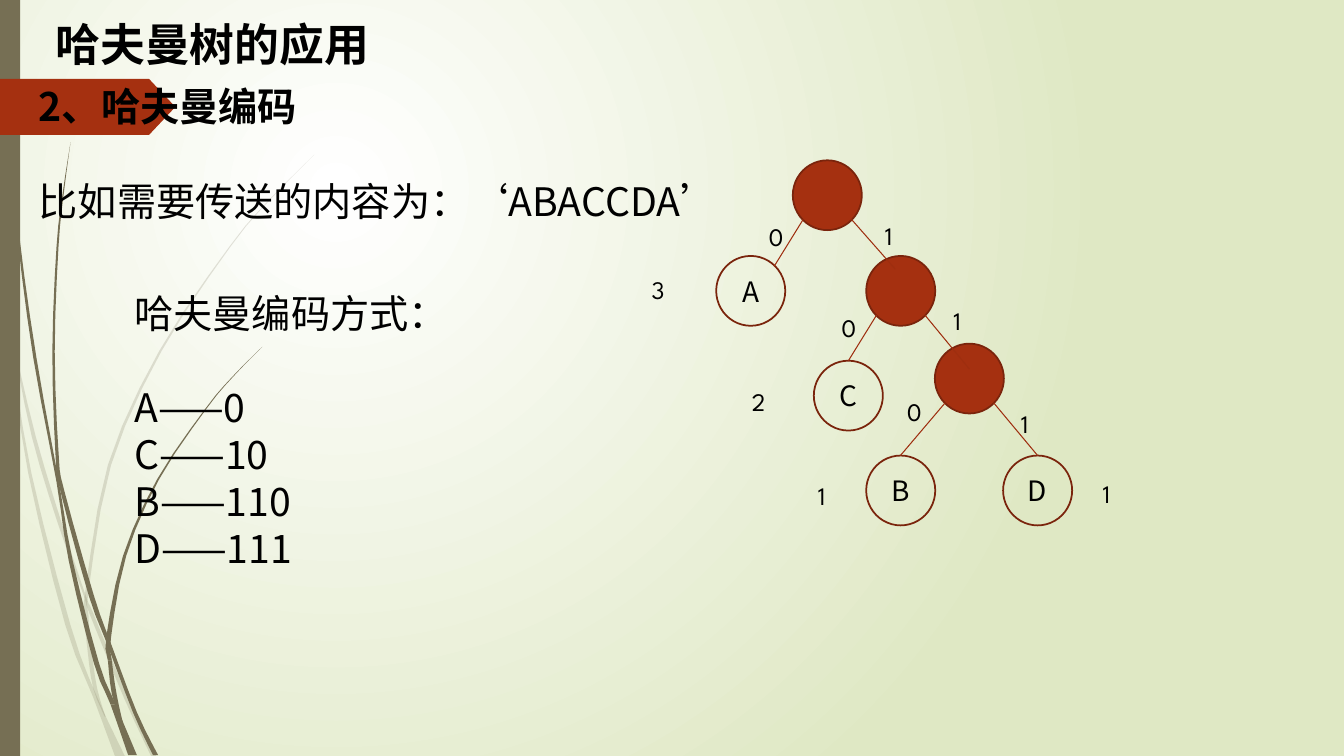
import pptx
import pptx.dml.color
import pptx.enum.lang
import pptx.enum.shapes
import pptx.enum.text
import pptx.oxml
import pptx.oxml.ns
import pptx.util
from dataclasses import dataclass
from itertools import pairwise

Cm = pptx.util.Cm
Pt = pptx.util.Pt
SHAPES = pptx.enum.shapes.MSO_SHAPE


@dataclass(frozen=True)
class Theme:
    stem: str = "766F54"
    accent: str = "A53010"
    outline: str = "7A240C"
    branch: str = "9E2E0F"
    ink: str = "000000"
    glow: str = "FFFFFF"
    edge: str = "DFE8C4"
    body_font: str = "Noto Sans CJK SC"
    label_font: str = "League Spartan"
    title_size: int = 32
    body_size: int = 28
    node_size: int = 20
    label_size: int = 18
    blank_line: float = 33.6


THEME = Theme()
NODE_WIDTH, NODE_HEIGHT = 1.74, 1.76
FORK = 0.61
CURVE_STEPS = 3

PALE_STRANDS = [
    ((1, 4), [(0.03, 7.3, 0.05), (0.28, 8.89, 0.03), (0.75, 11.92, 0.08),
              (1.71, 15.75, 0.13), (2.39, 17.55, 0.1), (3.02, 19.05, 0.25)]),
    ((3, 4), [(0.36, 8.76, 0.02), (0.85, 11, 0.1), (1.52, 13.23, 0.1), (2.15, 15.05, 0.05),
              (2.3, 15.45, 0.1), (3.18, 17.6, 0.1), (3.87, 19.05, 0.13)]),
    ((5, 6), [(7.92, 3.9, 0), (6.81, 5.02, 0.02), (5.8, 6.21, 0.03), (4.04, 8.85, 0.06),
              (2.76, 11.72, 0.08), (2.2, 14.83, 0.08), (2.18, 15.5, 0.1),
              (2.26, 16.41, 0.1), (2.4, 17.35, 0.1), (2.65, 18.06, 0.02)]),
]
DARK_STRANDS = [
    ((4, 7), [(0.09, 0, 0.02), (0.19, 2.8, 0.03), (0.46, 5.92, 0.05), (0.88, 9.02, 0.08),
              (1.45, 12.12, 0.06), (1.78, 14.12, 0.1), (2.43, 16.71, 0.13),
              (2.85, 17.75, 0.13), (3.34, 19.03, 0.22)]),
    ((4, 5, 7), [(1.78, 3.58, 0), (1.59, 4.9, 0.03), (1.45, 6.22, 0.05), (1.35, 8.86, 0.06),
                 (1.44, 11.46, 0.08), (1.58, 12.4, 0.1), (2.3, 15, 0.13),
                 (2.74, 16.2, 0.1), (3.4, 17.95, 0.1), (3.92, 19.03, 0.13)]),
    ((5, 6), [(6.61, 8.74, 0), (5.87, 9.49, 0.02), (5.19, 10.3, 0.03), (3.99, 12.07, 0.05),
              (3.14, 14.01, 0.08), (2.74, 16.05, 0.12), (2.77, 16.65, 0.1),
              (2.88, 17.5, 0.12), (3.08, 18.25, 0.05)]),
]
INNER_NODES = {"root": (20.85, 4.92), "right": (22.7, 7.33), "lower": (24.43, 9.54)}
LEAVES = {"A": (18.92, 7.33), "C": (21.38, 9.97), "B": (22.7, 12.36), "D": (26.15, 12.36)}
BRANCHES = [
    ("root", -FORK, (19.51, 6.71)), ("root", FORK, (22.56, 6.78)),
    ("right", -FORK, (21.38, 9.09)), ("right", FORK, (24.43, 9.3)),
    ("lower", -FORK, (22.69, 11.48)), ("lower", FORK, (26.15, 11.48)),
]
LABELS = [
    ("3", 16.17, 6.78), ("2", 18.7, 9.6), ("1", 20.36, 11.99), ("1", 27.54, 11.94),
    ("0", 19.13, 5.46), ("0", 20.96, 7.75), ("0", 22.61, 9.86),
    ("1", 22.05, 5.42), ("1", 23.78, 7.57), ("1", 25.48, 10.16),
]


def rgb(value):
    return pptx.dml.color.RGBColor.from_string(value)


def apply(target, values):
    for name, value in values.items():
        setattr(target, name, value)


def add_xml(parent, tag, **attributes):
    child = pptx.oxml.parse_xml(f"<{tag} {pptx.oxml.ns.nsdecls('a')}/>")
    for name, value in attributes.items():
        child.set(name, value)
    parent.append(child)
    return child


def paint_background(slide):
    fill = slide.background.fill
    fill.gradient()
    for stop, color, position in zip(fill.gradient_stops, (THEME.glow, THEME.edge), (0, 1)):
        stop.color.rgb = rgb(color)
        stop.position = position
    gradient = slide.element.find(".//" + pptx.oxml.ns.qn("a:gradFill"))
    gradient.remove(gradient.find(pptx.oxml.ns.qn("a:lin")))
    circle = add_xml(gradient, "a:path", path="circle")
    add_xml(circle, "a:fillToRect", l="50000", t="50000", r="100000", b="100000")


def style_shape(shape, fill=None, line=None):
    shape.shadow.inherit = False
    if fill:
        shape.fill.solid()
        shape.fill.fore_color.rgb = rgb(fill)
    else:
        shape.fill.background()
    if line:
        shape.line.color.rgb = rgb(line)
        shape.line.width = Pt(1.25)
    else:
        shape.line.fill.background()


def add_preset(slide, kind, left, top, width, height, **style):
    shape = slide.shapes.add_shape(kind, Cm(left), Cm(top), Cm(width), Cm(height))
    style_shape(shape, **style)
    return shape


def smooth(points):
    padded = [points[0], *points, points[-1]]
    curve = []
    for before, start, end, after in zip(padded, padded[1:], padded[2:], padded[3:]):
        for t in (step / CURVE_STEPS for step in range(CURVE_STEPS)):
            curve.append([
                0.5 * (2 * b + (c - a) * t + (2 * a - 5 * b + 4 * c - d) * t ** 2
                       + (3 * b - a - 3 * c + d) * t ** 3)
                for a, b, c, d in zip(before, start, end, after)])
    return curve + [points[-1]]


def add_blade(slide, curve, pale):
    left = [(Cm(x - width / 2), Cm(y)) for x, y, width in curve]
    right = [(Cm(x + width / 2), Cm(y)) for x, y, width in curve]
    outline = left + right[::-1]
    builder = slide.shapes.build_freeform(*outline[0])
    builder.add_line_segments(outline[1:], close=True)
    shape = builder.convert_to_shape()
    style_shape(shape, fill=THEME.stem)
    if pale:
        color = shape.element.spPr.find(".//" + pptx.oxml.ns.qn("a:srgbClr"))
        add_xml(color, "a:alpha", val="20000")


def add_strand(slide, joints, points, pale):
    curve = smooth(points)
    for start, end in pairwise((0, *joints, len(points) - 1)):
        add_blade(slide, curve[start * CURVE_STEPS:end * CURVE_STEPS + 1], pale)


def write(paragraph, text, size, font=THEME.body_font, bold=False):
    run = paragraph.add_run()
    run.text = text
    apply(run.font, {"size": Pt(size), "name": font, "bold": bold,
                     "language_id": pptx.enum.lang.MSO_LANGUAGE_ID.SIMPLIFIED_CHINESE})
    run.font.color.rgb = rgb(THEME.ink)
    add_xml(run.font._element, "a:ea", typeface=font)


def add_text(slide, box, lines, size, font=THEME.body_font, bold_first=False):
    frame = slide.shapes.add_textbox(*map(Cm, box)).text_frame
    apply(frame, {"word_wrap": True,
                  "auto_size": pptx.enum.text.MSO_AUTO_SIZE.SHAPE_TO_FIT_TEXT})
    for index, text in enumerate(lines):
        paragraph = frame.add_paragraph() if index else frame.paragraphs[0]
        if index == 1:
            paragraph.space_before = Pt(THEME.blank_line)
        write(paragraph, text, size, font, bold_first and index == 0)
    return frame


def add_node(slide, center, letter=None):
    x, y = center
    shape = add_preset(slide, SHAPES.OVAL, x - NODE_WIDTH / 2, y - NODE_HEIGHT / 2,
                       NODE_WIDTH, NODE_HEIGHT,
                       fill=None if letter else THEME.accent, line=THEME.outline)
    if letter:
        shape.text_frame.vertical_anchor = pptx.enum.text.MSO_ANCHOR.MIDDLE
        paragraph = shape.text_frame.paragraphs[0]
        paragraph.alignment = pptx.enum.text.PP_ALIGN.CENTER
        write(paragraph, letter, THEME.node_size)


def add_branch(slide, parent, side, end):
    x, y = INNER_NODES[parent]
    connector = slide.shapes.add_connector(
        pptx.enum.shapes.MSO_CONNECTOR.STRAIGHT, *map(Cm, (x + side, y + FORK, *end)))
    apply(connector.line, {"width": Pt(0.75)})
    connector.line.color.rgb = rgb(THEME.branch)
    add_xml(connector.element.spPr, "a:effectLst")


def main():
    presentation = pptx.Presentation()
    apply(presentation, {"slide_width": Cm(33.87), "slide_height": Cm(19.05)})
    slide = presentation.slides.add_slide(presentation.slide_layouts[6])
    paint_background(slide)
    for strands, pale in ((PALE_STRANDS, True), (DARK_STRANDS, False)):
        for joints, points in strands:
            add_strand(slide, joints, points, pale)
    add_preset(slide, SHAPES.RECTANGLE, 0, 0, 0.51, 19.05, fill=THEME.stem)
    tag = add_preset(slide, SHAPES.PENTAGON, 0, 1.99, 4.42, 1.41, fill=THEME.accent)
    tag.adjustments[0] = 0.47

    title = add_text(slide, (1.15, 0.3, 23.88, 2.41), ["哈夫曼树的应用"],
                     THEME.title_size, bold_first=True)
    title.auto_size = pptx.enum.text.MSO_AUTO_SIZE.NONE
    add_text(slide, (0.73, 1.96, 26.85, 3.84),
             ["2、哈夫曼编码", "比如需要传送的内容为：‘ABACCDA’"],
             THEME.body_size, bold_first=True)
    add_text(slide, (3.14, 7.16, 9.5, 7.44),
             ["哈夫曼编码方式：", "A——0", "C——10", "B——110", "D——111"], THEME.body_size)

    for center in INNER_NODES.values():
        add_node(slide, center)
    for letter, center in LEAVES.items():
        add_node(slide, center, letter)
    for branch in BRANCHES:
        add_branch(slide, *branch)
    for digit, left, top in LABELS:
        add_text(slide, (left, top, 1.88, 1.02), [digit], THEME.label_size, THEME.label_font)
    presentation.save("out.pptx")


if __name__ == "__main__":
    main()
